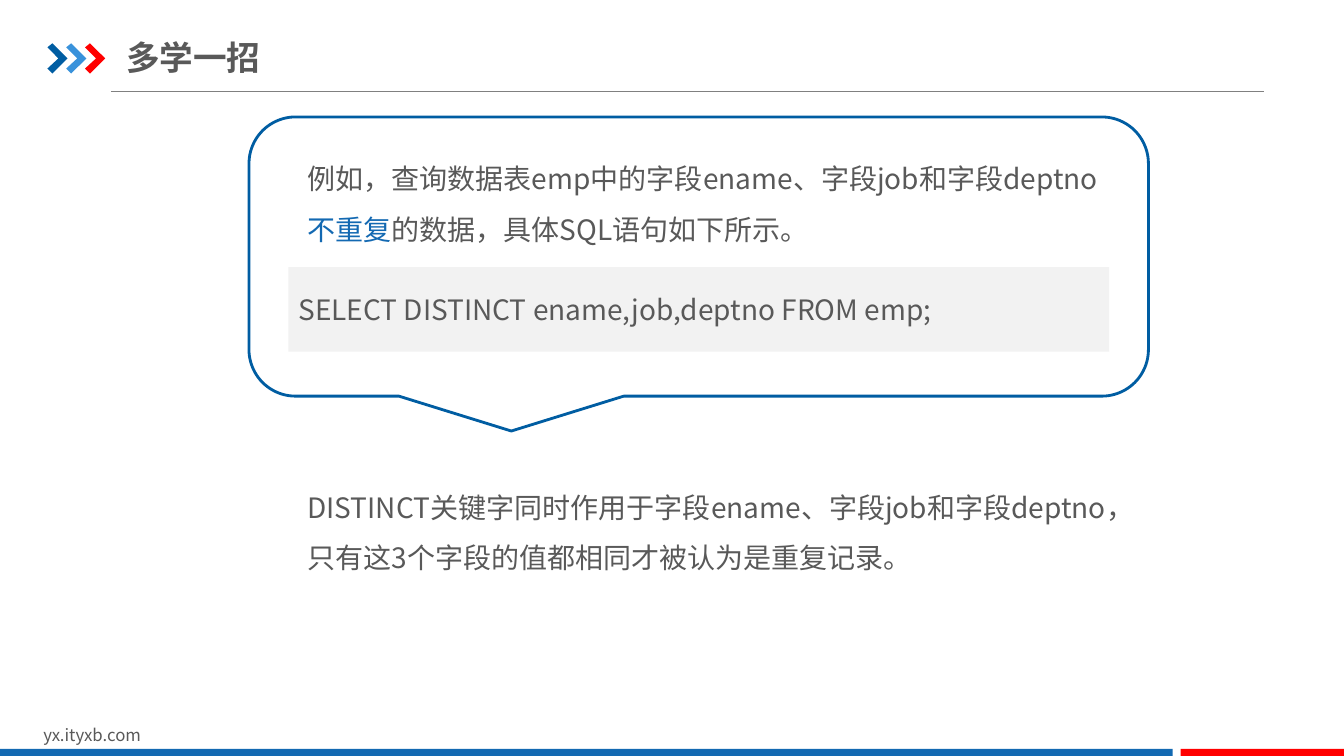
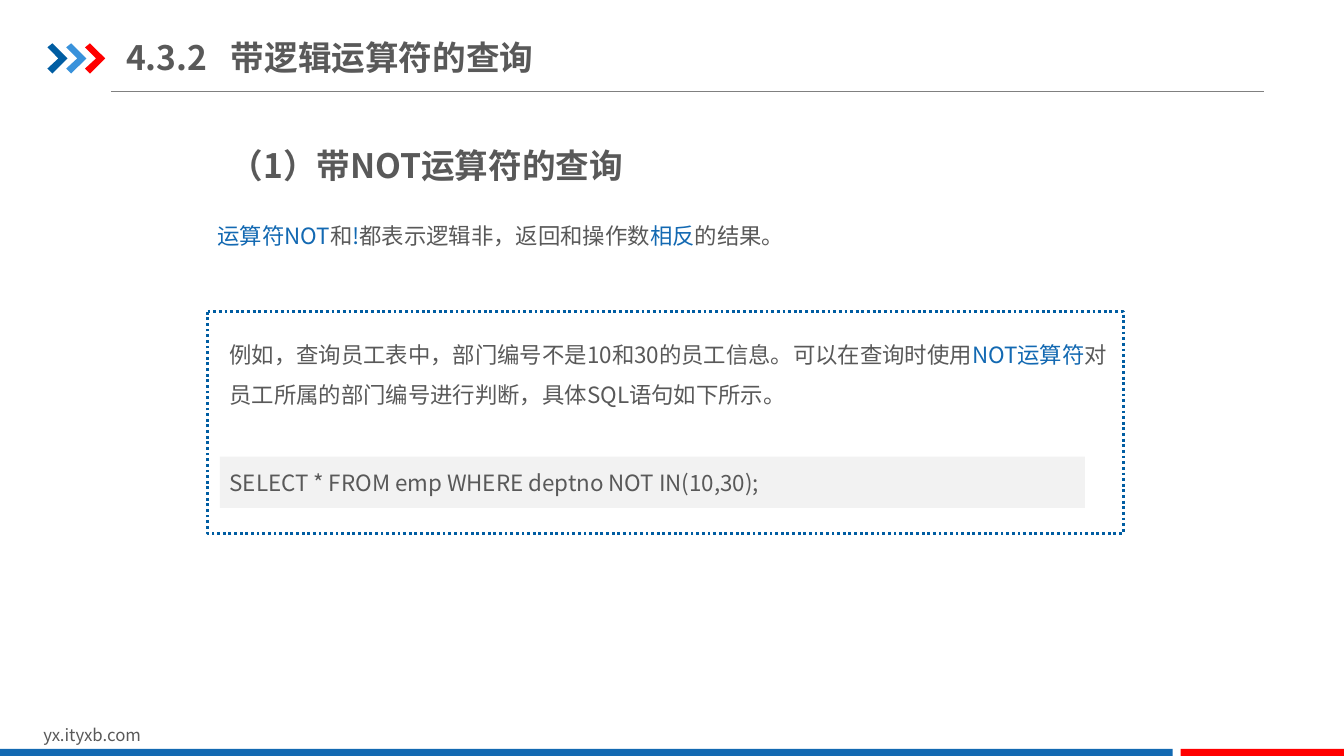
from lxml import etree
from pptx import Presentation
from pptx.dml.color import RGBColor
from pptx.enum.dml import MSO_LINE
from pptx.enum.shapes import MSO_CONNECTOR, MSO_SHAPE
from pptx.enum.text import MSO_ANCHOR, MSO_AUTO_SIZE, PP_ALIGN
from pptx.oxml.ns import qn
from pptx.util import Inches, Pt

RECT, FRAME = MSO_SHAPE.RECTANGLE, MSO_SHAPE.FLOWCHART_PROCESS
CALLOUT = MSO_SHAPE.ROUNDED_RECTANGULAR_CALLOUT
STRAIGHT, DOTS = MSO_CONNECTOR.STRAIGHT, MSO_LINE.ROUND_DOT
LEFT, TOP, MIDDLE = PP_ALIGN.LEFT, MSO_ANCHOR.TOP, MSO_ANCHOR.MIDDLE
FIXED = MSO_AUTO_SIZE.NONE

WHITE = RGBColor(0xFF, 0xFF, 0xFF)
INK = RGBColor(0x59, 0x59, 0x59)
GREY = RGBColor(0x80, 0x80, 0x80)
PALE = RGBColor(0xF2, 0xF2, 0xF2)
NAVY = RGBColor(0x00, 0x5D, 0xA2)
BLUE = RGBColor(0x13, 0x69, 0xB2)
SKY = RGBColor(0x39, 0x92, 0xDB)
RED = RGBColor(0xFF, 0x00, 0x00)
FONT = "Noto Sans CJK SC"

deck = Presentation()
deck.slide_width, deck.slide_height = Inches(13.33), Inches(7.5)
COL, ROW = deck.slide_width / 100, deck.slide_height / 100  # one percent


def write(shape, text, size, bold=False, **form):
    """Fill a shape with one paragraph; pieces between bars are blue."""
    frame = shape.text_frame
    look = {"word_wrap": True, "auto_size": FIXED, "vertical_anchor": TOP}
    for key, value in (look | form).items():
        setattr(frame, key, value)
    para = frame.paragraphs[0]
    para.alignment = LEFT
    for i, piece in enumerate(text.split("|")):
        if not piece:
            continue
        run = para.add_run()
        run.text = piece
        for key, value in {"size": Pt(size), "bold": bold, "name": FONT}.items():
            setattr(run.font, key, value)
        run.font.color.rgb = BLUE if i % 2 else INK
        etree.SubElement(run.font._element, qn("a:ea"), typeface=FONT)
    return para


def draw(slide, kind, area, fill, edge=None):
    """Add a shape; area is left, top, width, height in percent of the slide."""
    x, y, w, h = area
    shape = slide.shapes.add_shape(
        kind, int(x * COL), int(y * ROW), int(w * COL), int(h * ROW))
    shape.shadow.inherit = False
    shape.fill.solid()
    shape.fill.fore_color.rgb = fill
    if edge:
        shape.line.color.rgb = edge
        shape.line.width = Pt(2)
    else:
        shape.line.fill.background()
    return shape


# Each page: title, panel (kind, area, dash), code (area, text, size),
# and notes (area, text, size, bold, line spacing)
PAGES = [
    ("多学一招",
     (CALLOUT, (18.53, 15.47, 66.92, 36.93), None),
     ((21.46, 35.33, 61.07, 11.2),
      "SELECT DISTINCT ename,job,deptno FROM emp;", 20),
     [((22.13, 18.53, 60.47, 14.8),
       "例如，查询数据表emp中的字段ename、字段job和字段deptno|不重复|"
       "的数据，具体SQL语句如下所示。", 20, False, 1.5),
      ((22.13, 62, 63.39, 14.8),
       "DISTINCT关键字同时作用于字段ename、字段job和字段deptno，"
       "只有这3个字段的值都相同才被认为是重复记录。", 20, False, 1.5)]),
    ("4.3.2\t带逻辑运算符的查询",
     (FRAME, (15.45, 41.2, 68.12, 29.33), DOTS),
     ((16.35, 60.4, 64.37, 6.8),
      "SELECT * FROM emp WHERE deptno NOT IN(10,30);", 16),
     [((16.35, 18.53, 35.93, 6.67), "（1）带NOT运算符的查询", 24, True, 1),
      ((15.45, 26.93, 57.76, 6.67),
       "|运算符NOT|和|!|都表示逻辑非，返回和操作数|相反|的结果。",
       16, False, 1.5),
      ((16.35, 42.67, 67.22, 12.13),
       "例如，查询员工表中，部门编号不是10和30的员工信息。可以在查询时使用"
       "|NOT运算符|对员工所属的部门编号进行判断，具体SQL语句如下所示。",
       16, False, 1.5)]),
]
FOOT = ((2.48, 95.2, 23.86, 4), "yx.ityxb.com", 12, False, 1)
BANDS = [((0, 99.07, 87.25, 0.93), BLUE), ((87.85, 99.07, 12.15, 0.93), RED)]
# Chevron corners in hundredths of a percent
CHEVRON = [(353, 627), (390, 573), (503, 773), (390, 973), (353, 907), (435, 773)]
STEP = 140

for title, (kind, area, dash), (strip, code, size), notes in PAGES:
    slide = deck.slides.add_slide(deck.slide_layouts.get_by_name("Title Only"))

    rule = slide.shapes.add_connector(
        STRAIGHT, int(8.25 * COL), int(12.13 * ROW),
        int(94.07 * COL), int(12.13 * ROW))
    rule.line.color.rgb = GREY
    rule.line.width = Pt(0.75)
    etree.SubElement(rule._element.spPr, qn("a:effectLst"))

    for i, tint in enumerate([NAVY, SKY, RED]):
        spots = [(x + i * STEP, y) for x, y in CHEVRON]
        pen = slide.shapes.build_freeform(
            *spots[0], scale=(COL / 100, ROW / 100))
        pen.add_line_segments(spots[1:], close=True)
        mark = pen.convert_to_shape()
        mark.shadow.inherit = False
        mark.fill.solid()
        mark.fill.fore_color.rgb = tint
        mark.line.fill.background()

    for place, tint in BANDS:
        draw(slide, RECT, place, tint)

    head = slide.shapes.title
    spot = {"left": 9.38 * COL, "top": 3.87 * ROW,
            "width": 31.96 * COL, "height": 7.33 * ROW}
    for key, value in spot.items():
        setattr(head, key, int(value))
    para = write(head, title, 24, True, vertical_anchor=MIDDLE,
                 margin_left=0, margin_right=0,
                 margin_top=Inches(0.07), margin_bottom=Inches(0.07))
    if "\t" in title:
        tabs = etree.SubElement(
            para._p.get_or_add_pPr(), qn("a:tabLst"))
        etree.SubElement(
            tabs, qn("a:tab"), pos=str(Inches(1.04)), algn="l")

    panel = draw(slide, kind, area, WHITE, NAVY)
    if dash:
        panel.line.dash_style = dash
    write(draw(slide, RECT, strip, PALE), code, size, vertical_anchor=MIDDLE)

    for (x, y, w, h), text, points, bold, space in notes + [FOOT]:
        box = slide.shapes.add_textbox(
            int(x * COL), int(y * ROW), int(w * COL), int(h * ROW))
        write(box, text, points, bold).line_spacing = space

deck.save("out.pptx")
